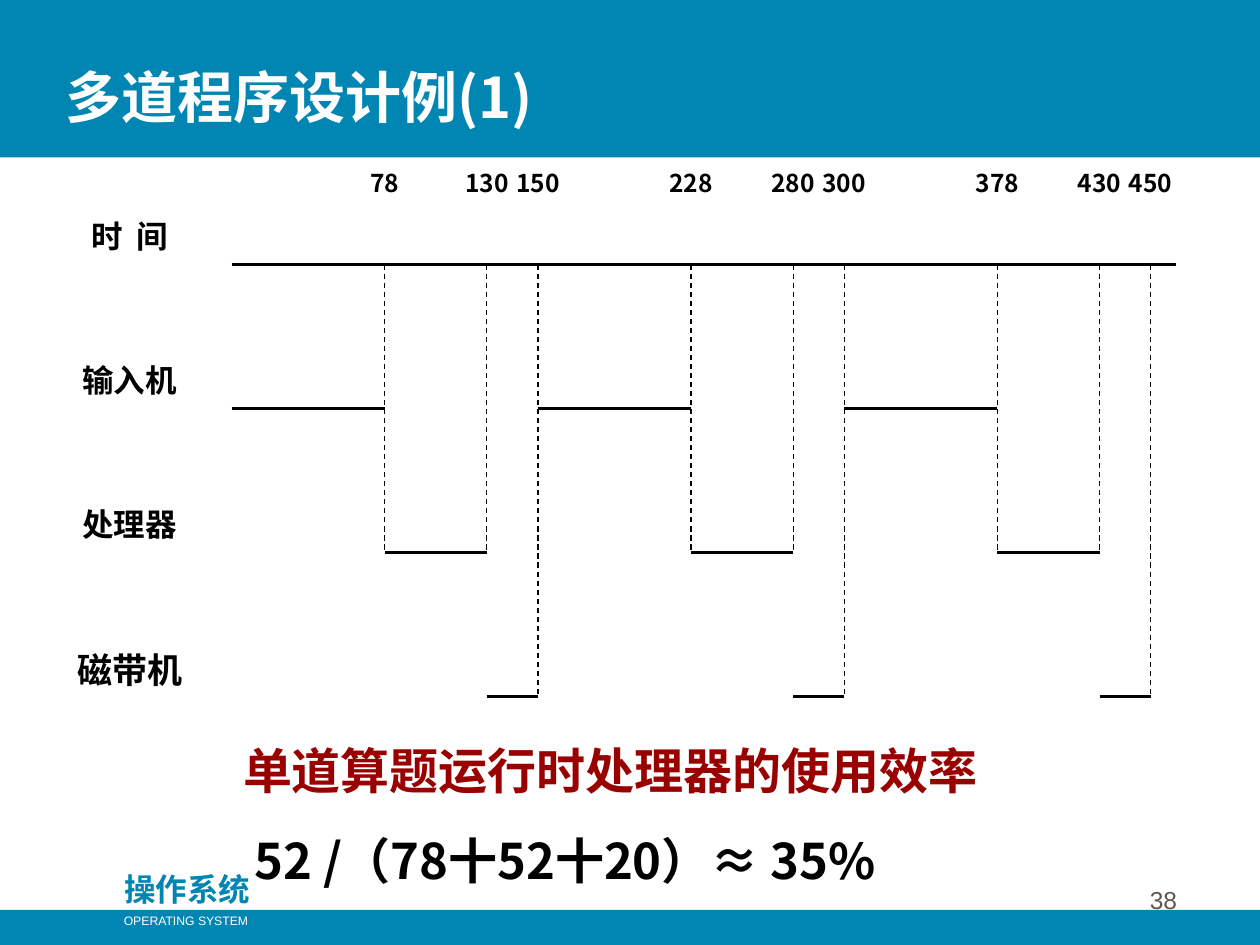
"""Build the slide on multiprogramming: a single-job timing chart."""
from lxml import etree
from pptx import Presentation
from pptx.dml.color import RGBColor
from pptx.enum import dml, shapes, text
from pptx.oxml import ns
from pptx.util import Pt

COLORS = {"blue": "0186B3", "white": "FFFFFF", "black": "000000",
          "red": "990000", "gray": "5E574E"}
CJK = "Noto Sans CJK SC"
ALIGN = text.PP_ALIGN
ANCHOR = text.MSO_ANCHOR


def add_text(content, x, y, w, h, size=18, color="black", font=CJK, bold=True,
             align=ALIGN.LEFT, anchor=ANCHOR.TOP, inset=(7.2, 3.6), wrap=True):
    tf = s.shapes.add_textbox(Pt(x), Pt(y), Pt(w), Pt(h)).text_frame
    tf.word_wrap = wrap
    tf.vertical_anchor = anchor
    tf.margin_left = tf.margin_right = Pt(inset[0])
    tf.margin_top = tf.margin_bottom = Pt(inset[1])
    p = tf.paragraphs[0]
    p.alignment = align
    r = p.add_run()
    r.text = content
    r.font.size = Pt(size)
    r.font.bold = bold
    r.font.name = font
    r.font.color.rgb = RGBColor.from_string(COLORS[color])
    etree.SubElement(r._r.get_or_add_rPr(), ns.qn("a:ea"), typeface=font)
    return tf


def add_line(x1, y1, x2, y2, width=1.5, dash=None):
    c = s.shapes.add_connector(shapes.MSO_CONNECTOR.STRAIGHT,
                               Pt(x1), Pt(y1), Pt(x2), Pt(y2))
    c.line.width = Pt(width)
    c.line.color.rgb = RGBColor.from_string(COLORS["black"])
    if dash:
        c.line.dash_style = dash
    etree.SubElement(c._element.spPr, ns.qn("a:effectLst"))


prs = Presentation()
prs.slide_width, prs.slide_height = Pt(720), Pt(540)
s = prs.slides.add_slide(prs.slide_layouts[6])

for top, height in ((0, 90), (520, 20)):
    sp = s.shapes.add_shape(shapes.MSO_SHAPE.RECTANGLE,
                            Pt(0), Pt(top), Pt(720), Pt(height))
    sp.shadow.inherit = False
    sp.fill.solid()
    sp.fill.fore_color.rgb = RGBColor.from_string(COLORS["blue"])
    sp.line.fill.background()

add_text("操作系统", 59.8, 493.9, 94.3, 28.8, color="blue", align=ALIGN.CENTER)
add_text("OPERATING SYSTEM", 63.4, 518.4, 85.7, 15.8, size=7, color="white",
         font="Arial", bold=False, align=ALIGN.CENTER, wrap=False)
add_text("38", 529.9, 490.3, 149.8, 36, size=14, color="gray", font="Arial",
         bold=False, align=ALIGN.RIGHT, anchor=ANCHOR.BOTTOM)
add_text("多道程序设计例(1)", 30.2, 23.8, 624.2, 54, size=32, color="white",
         anchor=ANCHOR.BOTTOM)

LEFT, TOP, COL, ROW = 132.3, 151.2, 29.18, 82.3
rows = (("时  间", 18), ("输入机", 18), ("处理器", 18), ("磁带机", 20))
for i, (label, size) in enumerate(rows):
    add_text(label, 30.2, TOP + (i - 1 / 3) * ROW, 87.8, 54.7, size=size,
             align=ALIGN.CENTER, inset=(0, 0))

add_line(LEFT, TOP, LEFT + 18.5 * COL, TOP)
stages = ((0, 3, 1, 78), (3, 5, 2, 130), (5, 6, 3, 150))
for job in range(3):
    x0 = LEFT + 6 * job * COL
    for start, end, row, time in stages:
        x1, x2, y = x0 + start * COL, x0 + end * COL, TOP + row * ROW
        add_line(x1, y, x2, y)
        add_line(x2, TOP, x2, TOP + max(row, 2) * ROW, width=0.75,
                 dash=dml.MSO_LINE.DASH)
        add_text(str(time + 150 * job), x2 - COL / 2, 95.8, COL, 54.7, size=14,
                 align=ALIGN.CENTER, inset=(0, 0))

tf = add_text("单道算题运行时处理器的使用效率", 131.8, 419.8, 473.8, 92.2,
              size=28, color="red")
p = tf.add_paragraph()
p.space_before = Pt(17.5)
r = p.add_run()
r.text = " 52 /（78十52十20）≈ 35%"
r.font.size = Pt(28)
r.font.bold = True
r.font.name = CJK
r.font.color.rgb = RGBColor.from_string(COLORS["black"])
etree.SubElement(r._r.get_or_add_rPr(), ns.qn("a:ea"), typeface=CJK)

prs.save("out.pptx")
